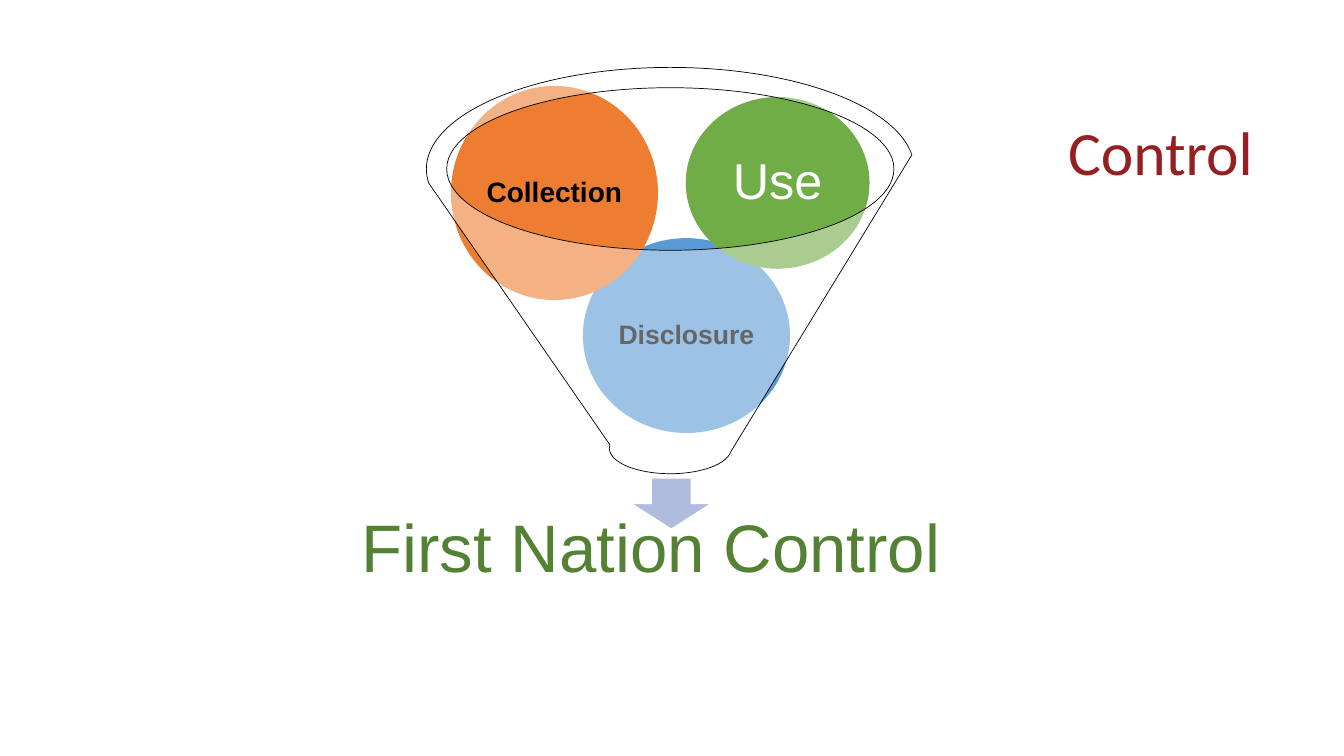
from dataclasses import dataclass

from lxml import etree
from pptx import Presentation
from pptx.dml.color import RGBColor
from pptx.enum.shapes import MSO_SHAPE
from pptx.enum.text import MSO_ANCHOR, PP_ALIGN
from pptx.oxml.ns import qn
from pptx.shapes.autoshape import Shape
from pptx.slide import Slide
from pptx.util import Pt

ELLIPSE = MSO_SHAPE.OVAL
FUNNEL = MSO_SHAPE.FUNNEL
DOWN_ARROW = MSO_SHAPE.DOWN_ARROW
MIDDLE = MSO_ANCHOR.MIDDLE
CENTER = PP_ALIGN.CENTER
RIGHT = PP_ALIGN.RIGHT

WHITE = RGBColor(0xFF, 0xFF, 0xFF)
BLACK = RGBColor(0x00, 0x00, 0x00)
BLUE = RGBColor(0x5B, 0x9B, 0xD5)
ORANGE = RGBColor(0xED, 0x7D, 0x31)
GREEN = RGBColor(0x70, 0xAD, 0x47)
DARK_GREEN = RGBColor(0x54, 0x82, 0x35)
DARK_RED = RGBColor(0x96, 0x20, 0x21)
LAVENDER = RGBColor(0xB0, 0xBC, 0xDE)


@dataclass(frozen=True)
class Area:
    """Left, top, width and height in points."""
    left: float
    top: float
    width: float
    height: float

    def lengths(self) -> tuple[Pt, Pt, Pt, Pt]:
        return Pt(self.left), Pt(self.top), Pt(self.width), Pt(self.height)


@dataclass(frozen=True)
class Label:
    text: str
    size: float
    color: RGBColor
    font: str = "Arial"
    bold: bool = False
    align: PP_ALIGN = CENTER
    inset_x: float = 2.2
    inset_y: float = 2.2


@dataclass(frozen=True)
class Ball:
    area: Area
    color: RGBColor
    label: Label


# Balls from back to front
BALLS = [
    Ball(Area(416.9, 170.6, 146.9, 138.2), BLUE,
         Label("Disclosure", 19, BLACK, bold=True)),
    Ball(Area(322.6, 61.9, 146.9, 151.9), ORANGE,
         Label("Collection", 20, BLACK, bold=True)),
    Ball(Area(490.3, 69.8, 130.3, 121.7), GREEN,
         Label("Use", 36, WHITE, inset_x=3.6, inset_y=3.6)),
]


def write_label(shape: Shape, label: Label) -> None:
    frame = shape.text_frame
    frame.word_wrap = True
    frame.vertical_anchor = MIDDLE
    frame.margin_left = frame.margin_right = Pt(label.inset_x)
    frame.margin_top = frame.margin_bottom = Pt(label.inset_y)
    frame.text = label.text
    para = frame.paragraphs[0]
    para.alignment = label.align
    para.line_spacing = 0.9
    span = para.runs[0]
    span.font.name = label.font
    span.font.size = Pt(label.size)
    span.font.bold = label.bold
    span.font.color.rgb = label.color


def add_text(page: Slide, area: Area, label: Label) -> None:
    box = page.shapes.add_textbox(*area.lengths())
    write_label(box, label)


def add_figure(page: Slide, kind: MSO_SHAPE, area: Area, fill: RGBColor,
               line: RGBColor, line_width: float) -> Shape:
    figure = page.shapes.add_shape(kind, *area.lengths())
    figure.shadow.inherit = False
    figure.fill.solid()
    figure.fill.fore_color.rgb = fill
    figure.line.color.rgb = line
    figure.line.width = Pt(line_width)
    return figure


def set_opacity(shape: Shape, percent: int) -> None:
    for color in shape.element.spPr.xpath("./a:solidFill/a:srgbClr"):
        etree.SubElement(color, qn("a:alpha"), val=str(percent * 1000))


def main() -> None:
    deck = Presentation()
    deck.slide_width, deck.slide_height = Pt(960), Pt(540)
    page = deck.slides.add_slide(deck.slide_layouts[6])

    # Title
    add_text(page, Area(281.5, 60.5, 620.6, 101.5),
             Label("Control", 44, DARK_RED, "Calibri", align=RIGHT,
                   inset_x=7.2, inset_y=3.6))

    # Arrow and outcome
    add_figure(page, DOWN_ARROW, Area(450.7, 341.3, 57.6, 36.7),
               LAVENDER, WHITE, 1)
    add_text(page, Area(163.4, 358.6, 603.4, 69.1),
             Label("First Nation Control", 48, DARK_GREEN,
                   inset_x=26.6, inset_y=26.6))

    # Balls inside the funnel
    for ball in BALLS:
        figure = add_figure(page, ELLIPSE, ball.area, ball.color, ball.color, 1)
        write_label(figure, ball.label)

    # Translucent funnel in front
    funnel = add_figure(page, FUNNEL, Area(304.6, 48.2, 348.5, 290.2),
                        WHITE, BLACK, 0.5)
    set_opacity(funnel, 40)

    deck.save("out.pptx")


if __name__ == "__main__":
    main()
